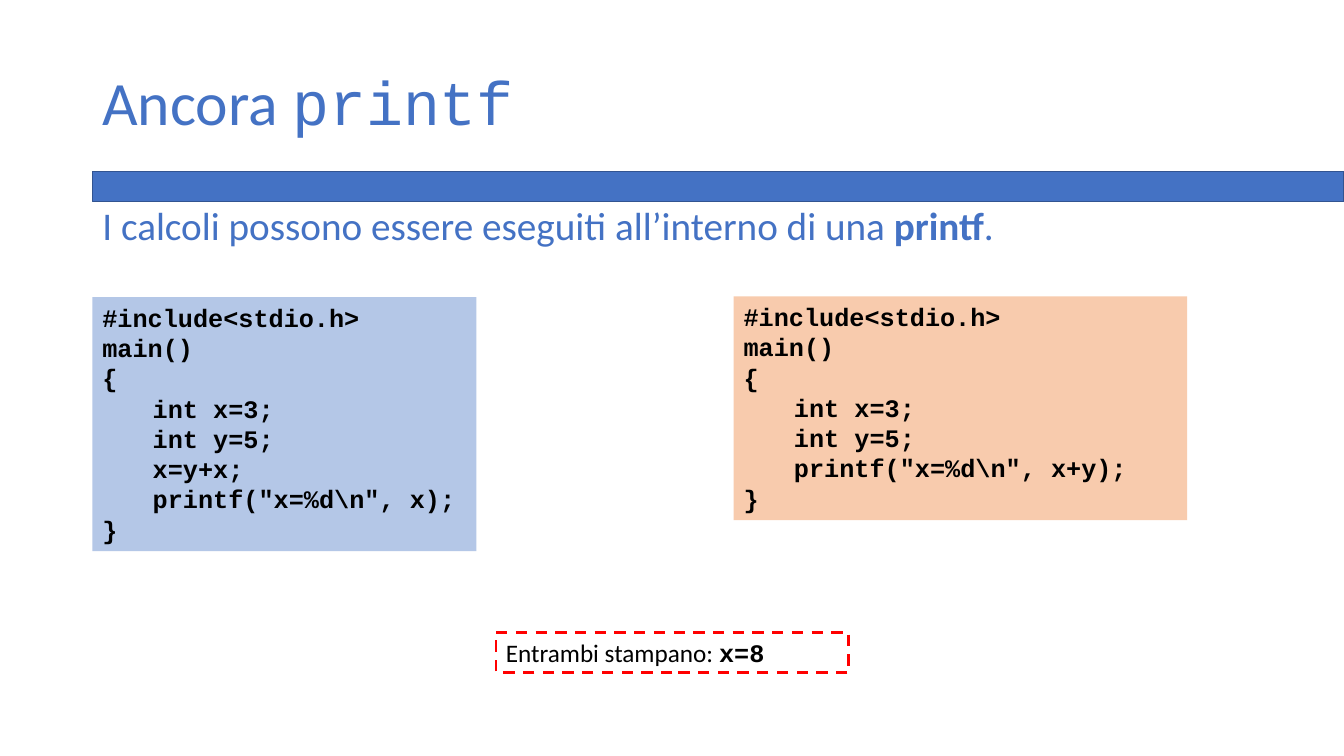
import pptx
import pptx.util
import pptx.dml.color
import pptx.enum.dml
import pptx.enum.shapes
import pptx.enum.text

Cm, Pt = pptx.util.Cm, pptx.util.Pt
ANCHOR = pptx.enum.text.MSO_ANCHOR

# Content: a line is a list of (text, style) spans
TITLE = [[("Ancora ", "title"), ("printf", "title_code")]]
INTRO = [[("I calcoli possono essere eseguiti all’interno di una ", "intro"),
          ("printf", "intro_bold"), (".", "intro")]]
RESULT = [[("Entrambi stampano: ", "note"), ("x=8", "code")]]
PROGRAM_BODIES = {
    "stored": ["int x=3;", "int y=5;", "x=y+x;", r'printf("x=%d\n", x);'],
    "direct": ["int x=3;", "int y=5;", r'printf("x=%d\n", x+y);'],
}

# Look
THEME = {
    "colours": {"accent": "4472C4", "accent_edge": "325491", "stored": "B4C7E7",
                "direct": "F8CBAD", "alert": "FF0000", "ink": "000000"},
    "text": {
        "title": {"name": "Calibri", "size": Pt(44), "bold": False, "colour": "accent"},
        "title_code": {"name": "Courier New", "size": Pt(44), "bold": False, "colour": "accent"},
        "intro": {"name": "Calibri", "size": Pt(28), "bold": False, "colour": "accent"},
        "intro_bold": {"name": "Calibri", "size": Pt(28), "bold": True, "colour": "accent"},
        "note": {"name": "Calibri", "size": Pt(18), "bold": False, "colour": "ink"},
        "code": {"name": "Courier New", "size": Pt(18), "bold": True, "colour": "ink"},
    },
}

# Layout in centimetres: left, top, width, height
PAGE_WIDTH, PAGE_HEIGHT = 33.87, 19.05
LEFT = 2.33
TEXT_WIDTH = 29.21
PLACES = {
    "title": (LEFT, 1.02, TEXT_WIDTH, 3.3),
    "bar": (LEFT, 4.32, PAGE_WIDTH - LEFT, 0.76),
    "intro": (LEFT, 5.08, TEXT_WIDTH, 1.63),
    "stored": (LEFT, 7.49, 9.68, 6.4),
    "direct": (18.49, 7.47, 11.43, 5.64),
    "result": (12.5, 15.93, 8.89, 1.02),
}
CODE_INDENT = Cm(1.27)


def colour(name):
    return pptx.dml.color.RGBColor.from_string(THEME["colours"][name])


def place(name):
    return [Cm(length) for length in PLACES[name]]


def add_rectangle(page, name, fill=None, line=None, width=1, dash=None):
    box = page.shapes.add_shape(pptx.enum.shapes.MSO_SHAPE.RECTANGLE, *place(name))
    box.shadow.inherit = False
    if fill:
        box.fill.solid()
        box.fill.fore_color.rgb = colour(fill)
    else:
        box.fill.background()
    if line:
        box.line.color.rgb = colour(line)
        box.line.width = Pt(width)
        box.line.dash_style = dash
    else:
        box.line.fill.background()
    return box


def write(box, lines, anchor=ANCHOR.TOP, spacing=1.0, indented=()):
    frame = box.text_frame
    frame.word_wrap = True
    frame.vertical_anchor = anchor
    for index, line in enumerate(lines):
        para = frame.paragraphs[0] if index == 0 else frame.add_paragraph()
        para.alignment = pptx.enum.text.PP_ALIGN.LEFT
        para.line_spacing = spacing
        if index in indented:
            para.level = 1
            properties = para._p.get_or_add_pPr()
            properties.set("marL", str(CODE_INDENT))
            properties.set("indent", "0")
        for text, style in line:
            span = para.add_run()
            span.text = text
            values = THEME["text"][style]
            for key in ("name", "size", "bold"):
                setattr(span.font, key, values[key])
            span.font.color.rgb = colour(values["colour"])


def main():
    deck = pptx.Presentation()
    deck.slide_width, deck.slide_height = Cm(PAGE_WIDTH), Cm(PAGE_HEIGHT)
    page = deck.slides.add_slide(deck.slide_layouts[6])

    # Heading, bar and introduction
    add_rectangle(page, "bar", fill="accent", line="accent_edge")
    for name, lines, anchor in (("title", TITLE, ANCHOR.MIDDLE),
                                ("intro", INTRO, ANCHOR.TOP)):
        write(page.shapes.add_textbox(*place(name)), lines, anchor, spacing=0.9)

    # The two programs
    for name, body in PROGRAM_BODIES.items():
        opening = ["#include<stdio.h>", "main()", "{"]
        code = [[(text, "code")] for text in opening + body + ["}"]]
        inner = range(len(opening), len(opening) + len(body))
        write(add_rectangle(page, name, fill=name), code, indented=inner)

    # Shared output
    result = add_rectangle(page, "result", line="alert", width=2,
                           dash=pptx.enum.dml.MSO_LINE.DASH)
    write(result, RESULT)

    deck.save("out.pptx")


if __name__ == "__main__":
    main()
